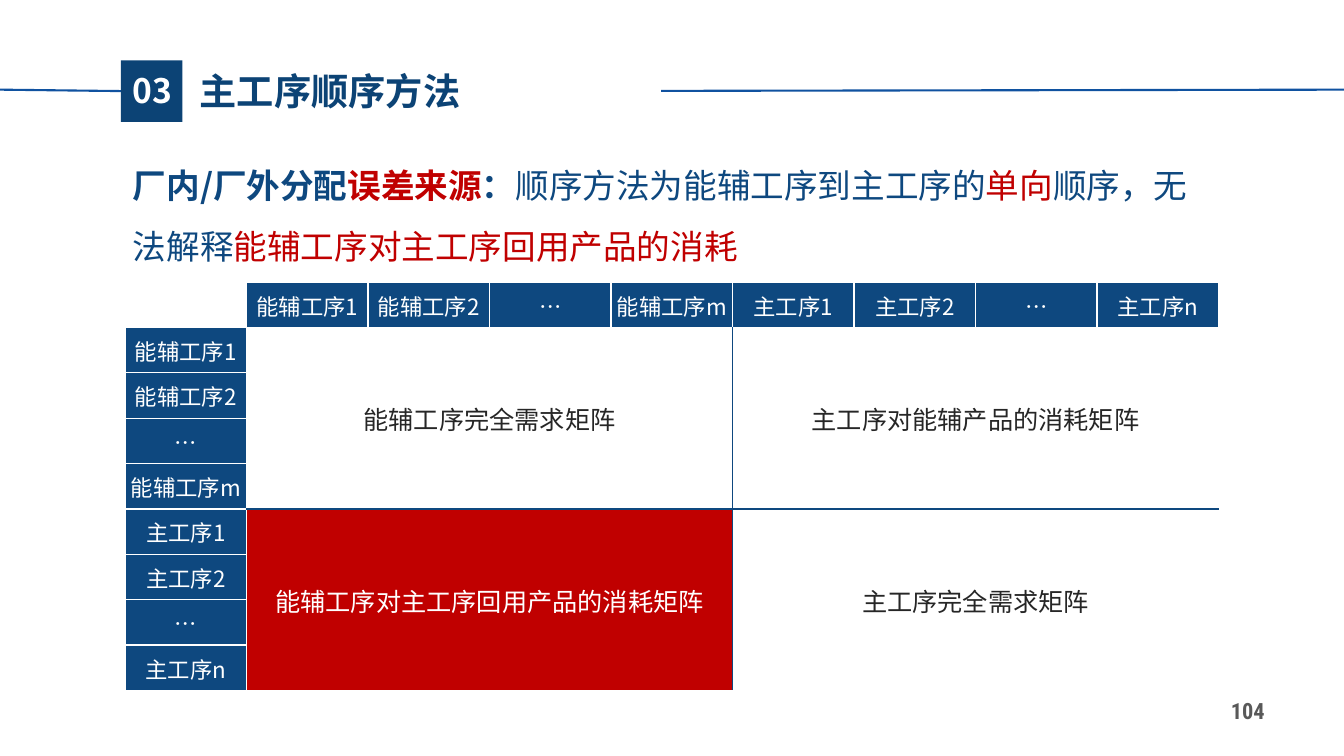
"""Build the slide on error sources in the main-process sequence method."""
from lxml import etree
from pptx import Presentation
from pptx.dml.color import RGBColor
from pptx.enum.shapes import MSO_CONNECTOR, MSO_SHAPE
from pptx.enum.text import MSO_ANCHOR, PP_ALIGN
from pptx.oxml.ns import qn
from pptx.util import Cm, Pt

STRAIGHT = MSO_CONNECTOR.STRAIGHT
RECTANGLE = MSO_SHAPE.RECTANGLE
LEFT, CENTER = PP_ALIGN.LEFT, PP_ALIGN.CENTER
TOP, MIDDLE = MSO_ANCHOR.TOP, MSO_ANCHOR.MIDDLE

NAVY = RGBColor(0x0C, 0x43, 0x75)
BLUE = RGBColor(0x0E, 0x48, 0x7F)
RULE_BLUE = RGBColor(0x10, 0x52, 0xA0)
RED = RGBColor(0xC0, 0x00, 0x00)
WHITE = RGBColor(0xFF, 0xFF, 0xFF)
DARK = RGBColor(0x26, 0x26, 0x26)
GRAY = RGBColor(0x59, 0x59, 0x59)
SANS = "Noto Sans CJK SC"
CONDENSED = "Roboto Condensed"

SECTION, TITLE, PAGE = "03", "主工序顺序方法", "104"
STATEMENT = [
    ("厂内/厂外分配", BLUE, True),
    ("误差来源", RED, True),
    ("：", BLUE, True),
    ("顺序方法为能辅工序到主工序的", BLUE, False),
    ("单向", RED, False),
    ("顺序，无法解释", BLUE, False),
    ("能辅工序对主工序回用产品的消耗", RED, False),
]
PROCESSES = ["能辅工序1", "能辅工序2", "…", "能辅工序m",
             "主工序1", "主工序2", "…", "主工序n"]
BLOCKS = [
    [("能辅工序完全需求矩阵", DARK, None), ("主工序对能辅产品的消耗矩阵", DARK, None)],
    [("能辅工序对主工序回用产品的消耗矩阵", WHITE, RED), ("主工序完全需求矩阵", DARK, None)],
]
SPAN = 4
COUNT = len(PROCESSES) + 1
TABLE_LEFT, TABLE_TOP, TABLE_WIDTH, TABLE_HEIGHT = 3.15, 7.11, 27.56, 10.29


def write(frame, runs, size=16, font=SANS, align=LEFT, anchor=TOP, spacing=None):
    """Write (text, colour, bold) runs as one paragraph."""
    frame.vertical_anchor = anchor
    paragraph = frame.paragraphs[0]
    paragraph.alignment = align
    if spacing:
        paragraph.line_spacing = spacing
    for text, color, bold in runs:
        run = paragraph.add_run()
        run.text = text
        run.font.size = Pt(size)
        run.font.bold = bold
        run.font.color.rgb = color
        run.font.name = font
        east_asian = etree.SubElement(run.font._element, qn("a:ea"))
        east_asian.set("typeface", font)


def add_text(slide, box, runs, wrap=True, margins=(0.25, 0.13), **text_format):
    """Add a text box at box, given in centimetres."""
    frame = slide.shapes.add_textbox(*map(Cm, box)).text_frame
    frame.word_wrap = wrap
    frame.margin_left = frame.margin_right = Cm(margins[0])
    frame.margin_top = frame.margin_bottom = Cm(margins[1])
    write(frame, runs, **text_format)


def add_rule(slide, *ends):
    """Add a thin heading line between two points."""
    rule = slide.shapes.add_connector(STRAIGHT, *map(Cm, ends))
    rule.line.color.rgb = RULE_BLUE
    rule.line.width = Pt(1.5)
    etree.SubElement(rule._element.spPr, qn("a:effectLst"))
    return rule


def style_cell(cell, fill, borders):
    """Set margins, edge colours (left, right, top, bottom) and fill."""
    cell.margin_left = cell.margin_right = cell.margin_top = Cm(0.03)
    cell.margin_bottom = 0
    properties = cell._tc.get_or_add_tcPr()
    for side, color in zip("LRTB", borders):
        if color is not None:
            edge = etree.SubElement(properties, qn(f"a:ln{side}"), w=str(Pt(1)))
            solid = etree.SubElement(edge, qn("a:solidFill"))
            etree.SubElement(solid, qn("a:srgbClr"), val=str(color))
    if fill is None:
        cell.fill.background()
    else:
        cell.fill.solid()
        cell.fill.fore_color.rgb = fill


def write_cell(cell, text, color, size):
    """Write centred text into a table cell."""
    write(cell.text_frame, [(text, color, False)], size=size, align=CENTER)
    cell.vertical_anchor = MIDDLE


def add_block(table, block_row, block_column):
    """Merge and fill one quadrant of the matrix."""
    text, color, fill = BLOCKS[block_row][block_column]
    top, left = 1 + block_row * SPAN, 1 + block_column * SPAN
    last = SPAN - 1
    left_edge = BLUE if block_column else WHITE
    top_edge = BLUE if block_row else WHITE
    for row in range(SPAN):
        for column in range(SPAN):
            style_cell(table.cell(top + row, left + column), fill, (
                left_edge if column == 0 else None,
                BLUE if column == last else None,
                top_edge if row == 0 else None,
                BLUE if row == last else None))
    table.cell(top, left).merge(table.cell(top + last, left + last))
    write_cell(table.cell(top, left), text, color, 18)


def add_matrix(slide):
    """Add the process-by-process table."""
    table = slide.shapes.add_table(
        COUNT, COUNT, Cm(TABLE_LEFT), Cm(TABLE_TOP),
        Cm(TABLE_WIDTH), Cm(TABLE_HEIGHT)).table
    table.first_row = table.horz_banding = False
    for column in table.columns:
        column.width = Cm(TABLE_WIDTH / COUNT)
    for row in table.rows:
        row.height = Cm(TABLE_HEIGHT / COUNT)
    style_cell(table.cell(0, 0), None, [WHITE] * 4)
    for index, process in enumerate(PROCESSES, start=1):
        for cell in (table.cell(0, index), table.cell(index, 0)):
            style_cell(cell, BLUE, [WHITE] * 4)
            write_cell(cell, process, WHITE, 16)
    for block_row in range(len(BLOCKS)):
        for block_column in range(len(BLOCKS[block_row])):
            add_block(table, block_row, block_column)


def main():
    """Assemble and save the slide."""
    presentation = Presentation()
    presentation.slide_width, presentation.slide_height = Cm(33.87), Cm(19.05)
    slide = presentation.slides.add_slide(presentation.slide_layouts[6])

    add_text(slide, (30.66, 17.45, 1.57, 0.91), [(PAGE, GRAY, True)], wrap=False,
             size=16, font=CONDENSED, align=CENTER, anchor=MIDDLE)
    left_rule = add_rule(slide, 0, 2.26, 3.05, 2.3)
    add_rule(slide, 16.66, 2.29, 33.87, 2.26)
    badge = slide.shapes.add_shape(RECTANGLE, Cm(3.05), Cm(1.52), Cm(1.55), Cm(1.55))
    badge.shadow.inherit = False
    badge.fill.solid()
    badge.fill.fore_color.rgb = NAVY
    badge.line.fill.background()
    left_rule.end_connect(badge, 1)

    add_text(slide, (4.78, 1.6, 7.16, 1.4), [(TITLE, NAVY, True)], wrap=False, size=26.6)
    add_text(slide, (3.02, 1.63, 1.63, 1.27), [(SECTION, WHITE, True)],
             size=24, align=CENTER)
    add_text(slide, (3.02, 3.48, 27.56, 4.78), STATEMENT,
             margins=(0.33, 0.18), size=24, spacing=1.5)
    add_matrix(slide)
    presentation.save("out.pptx")


if __name__ == "__main__":
    main()
